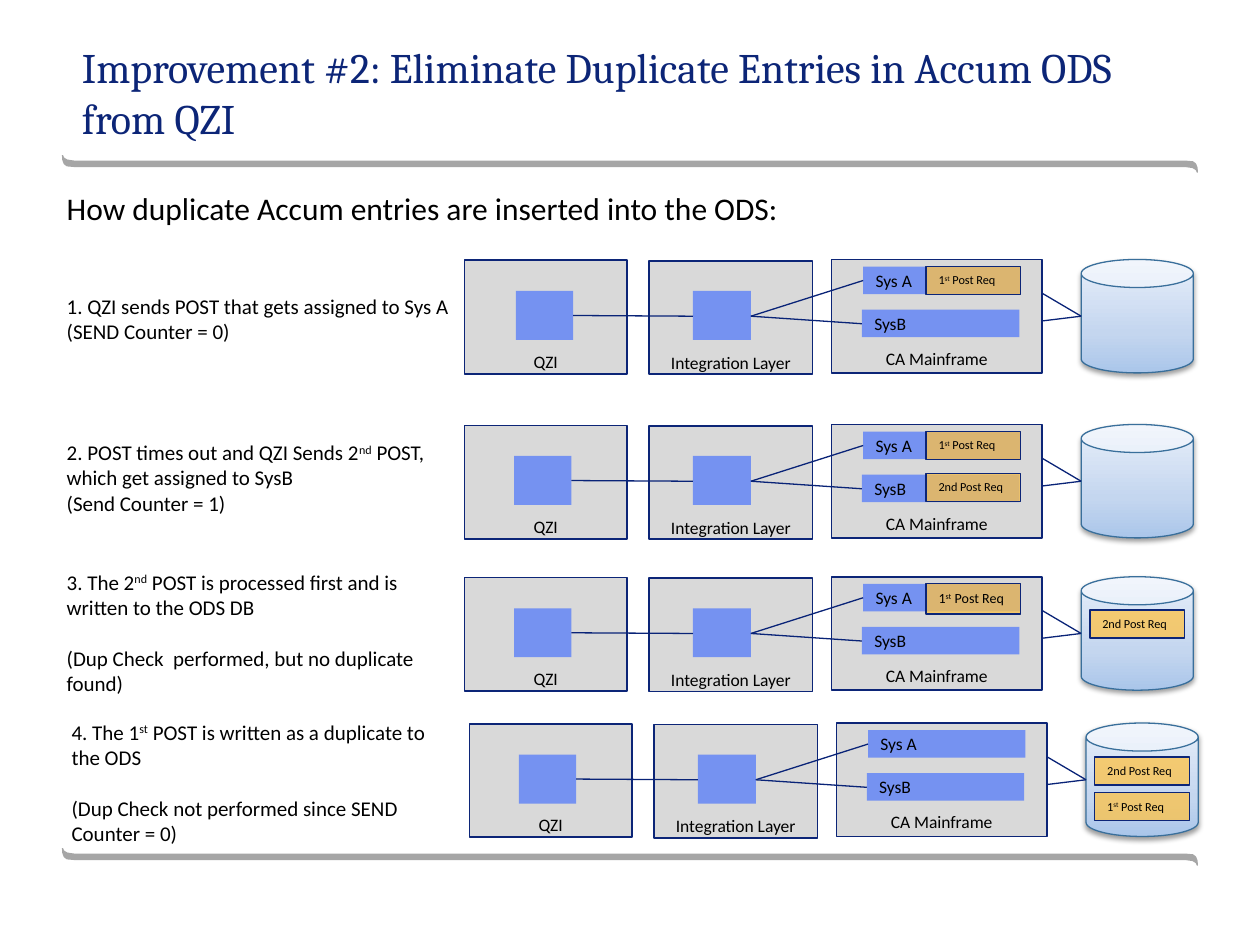
from lxml import etree
from pptx import Presentation, util as u
from pptx.dml.color import RGBColor
from pptx.enum import shapes as sh, text as tx
from pptx.oxml import ns

NAVY = RGBColor(0x0C, 0x25, 0x77)
WIRE = RGBColor(0x09, 0x23, 0x77)
GRAY = RGBColor(0xD9, 0xD9, 0xD9)
RULE = RGBColor(0xA6, 0xA6, 0xA6)
BLUE = RGBColor(0x75, 0x92, 0xF1)
GOLD = RGBColor(0xFE, 0xC2, 0x46)
RIM = RGBColor(0x39, 0x6F, 0x9B)
BLACK = RGBColor(0, 0, 0)
SHADES = [(0, RGBColor(0xAA, 0xC6, 0xEA)), (35, RGBColor(0xC4, 0xD6, 0xEF)),
          (100, RGBColor(0xE8, 0xEF, 0xFA))]

TITLE = "Improvement #2: Eliminate Duplicate Entries in Accum ODS from QZI"
HEAD = "How duplicate Accum entries are inserted into the ODS:"
FIRST, SECOND = "1^st^ Post Req", "2nd Post Req"
QUEUE, STORE = 529.2, 622.8

ROWS = [
    dict(left=0, top=148.3, note=164.2, high=36, gap=0, nudge=1,
         lines=["1. QZI sends POST that gets assigned to Sys A (SEND Counter = 0)"],
         tags=[(FIRST, QUEUE, 4, 7, 16)]),
    dict(left=0, top=242.6, note=247.7, high=51, gap=0, nudge=0,
         lines=["2. POST times out and QZI Sends 2^nd^ POST, which get assigned to SysB",
                "(Send Counter = 1)"],
         tags=[(FIRST, QUEUE, 4, 7, 16), (SECOND, QUEUE, 28, 7, 16)]),
    dict(left=0, top=329.6, note=321.8, high=80, gap=14.6, nudge=0,
         lines=["3. The 2^nd^ POST is processed first and is written to the ODS DB",
                "(Dup Check  performed, but no duplicate found)"],
         tags=[(FIRST, QUEUE, 4, 8, 17.3), (SECOND, STORE, 19, 7, 16)]),
    dict(left=2.8, top=413.2, note=407.4, high=80, gap=14.6, nudge=0,
         lines=["4. The 1^st^ POST is written as a duplicate to the ODS",
                "(Dup Check not performed since SEND Counter = 0)"],
         tags=[(SECOND, STORE, 19.4, 7, 16), (FIRST, STORE, 39.8, 7, 16)]),
]
BOXES = [("QZI", 265.4, 0.5, 92.9, 48.6), ("Integration Layer", 370.8, 0.8, 93.6, 49.2),
         ("CA Mainframe", 475.2, 0, 120.2, 46.8)]
SYSTEMS = [("Sys A", 493.2, 4), ("SysB", 492.5, 28.6)]
TO_STORE = [(583.2, 12, 617.8, 32.4), (582.5, 36.7, 617.8, 32.4)]
TO_SYS = [(429.1, 32.4, 493.2, 12), (429.1, 32.4, 492.5, 36.7)]
EDGE = [(35.4, 0), (36, 0), (36.7, 1.5), (38.5, 2.6), (42.5, 3.2),
        (677.5, 3.2), (681.8, 3.6), (683.5, 4.9), (684.4, 7.2)]

FRAME = dict(word_wrap=True, vertical_anchor=tx.MSO_ANCHOR.TOP)
MID = dict(FRAME, vertical_anchor=tx.MSO_ANCHOR.MIDDLE)
LOW = dict(FRAME, vertical_anchor=tx.MSO_ANCHOR.BOTTOM, margin_left=u.Pt(10.8))

deck = Presentation()
deck.slide_width, deck.slide_height = u.Pt(720), u.Pt(540)
slide = deck.slides.add_slide(deck.slide_layouts[6])
kit = slide.shapes


def put(item, form):
    for key, val in form.items():
        setattr(item, key, val)


def node(top, tag, **vals):
    return etree.SubElement(top, ns.qn("a:" + tag), {k: str(v) for k, v in vals.items()})


def write(shape, lines, size=10, name="Calibri", color=BLACK, frame=FRAME,
          align=tx.PP_ALIGN.LEFT, gap=0):
    box = shape.text_frame
    put(box, frame)
    for i, line in enumerate(lines):
        para = box.add_paragraph() if i else box.paragraphs[0]
        put(para, dict(alignment=align, space_before=u.Pt(gap if i else 0)))
        for j, part in enumerate(line.split("^")):
            run = para.add_run()
            run.text = part
            put(run.font, dict(name=name, size=u.Pt(size)))
            run.font.color.rgb = color
            if j % 2:
                run.font._element.set("baseline", "30000")


def label(x, y, w, h, lines, **form):
    write(kit.add_textbox(*map(u.Pt, (x, y, w, h))), lines, **form)


def paint(shape, fill, line=None, width=1):
    shape.shadow.inherit = False
    shape.fill.solid()
    shape.fill.fore_color.rgb = fill
    if line is None:
        shape.line.fill.background()
    else:
        shape.line.color.rgb = line
        shape.line.width = u.Pt(width)


def block(x, y, w, h, fill, line=None, width=1, kind=sh.MSO_SHAPE.RECTANGLE):
    shape = kit.add_shape(kind, *map(u.Pt, (x, y, w, h)))
    paint(shape, fill, line, width)
    return shape


def wire(x, y, ends):
    a, b, c, d = ends
    line = kit.add_connector(sh.MSO_CONNECTOR.STRAIGHT,
                             *map(u.Pt, (x + a, y + b, x + c, y + d)))
    line.line.color.rgb = WIRE
    line.line.width = u.Pt(0.75)
    node(line._element.spPr, "effectLst")


def drum(x, y):
    can = block(x, y, 64.1, 64.8, GRAY, RIM, 0.75, sh.MSO_SHAPE.CAN)
    can.fill.gradient()
    can.fill.gradient_angle = 90
    stops = can._element.spPr.find(".//" + ns.qn("a:gsLst"))
    for old in list(stops):
        stops.remove(old)
    for pos, color in SHADES:
        node(node(stops, "gs", pos=pos * 1000), "srgbClr", val=color)
    glow = node(can._element.spPr.find(ns.qn("a:effectLst")), "outerShdw",
                blurRad=u.Pt(3.1), dist=u.Pt(1.6), dir=5400000, rotWithShape=0)
    node(node(glow, "srgbClr", val="000000"), "alpha", val=38000)


def tag(x, y, h, words, size):
    shape = block(x, y, 54, h, GOLD, NAVY, 0.75)
    node(shape._element.spPr.find(ns.qn("a:solidFill"))[0], "alpha", val=75000)
    write(shape, [words], size=size)


def rule(y):
    dots = [(a, y + b) for a, b in EDGE] + [(720 - a, y + 10.1 - b) for a, b in EDGE]
    pen = kit.build_freeform(*map(u.Pt, dots[0]))
    pen.add_line_segments([(u.Pt(a), u.Pt(b)) for a, b in dots[1:]], close=True)
    paint(pen.convert_to_shape(), RULE)


def flow(row):
    x, y = row["left"], row["top"]
    drum(x + 617.8, y)
    for ends in TO_STORE:
        wire(x, y, ends)
    label(x + 31, row["note"], 234, row["high"], row["lines"], size=12, gap=row["gap"])
    for name, left, drop, wide, low in BOXES:
        block(x + left, y + drop, wide, 64.8, GRAY, NAVY)
        label(x + left, y + low, wide, 19.4, [name], align=tx.PP_ALIGN.CENTER)
    start = 293.8 + row["nudge"]
    for left, wide in ((start, 32.7), (396, 33.1)):
        block(x + left, y + 18, wide, 28, BLUE)
    for name, left, drop in SYSTEMS:
        write(block(x + left, y + drop, 90, 15.8, BLUE), [name], frame=MID)
    for ends in TO_SYS + [(start + 32.7, 32, 396, 32.4)]:
        wire(x, y, ends)
    for words, left, drop, size, h in row["tags"]:
        tag(x + left, y + drop, h, words, size)


for y in (88.6, 484.6):
    rule(y)
label(36, 5.8, 648, 79.2, [TITLE], size=24, name="Cambria", color=NAVY, frame=LOW)
label(31, 104.4, 648.7, 28.8, [HEAD], size=18)
for row in ROWS:
    flow(row)
deck.save("out.pptx")
